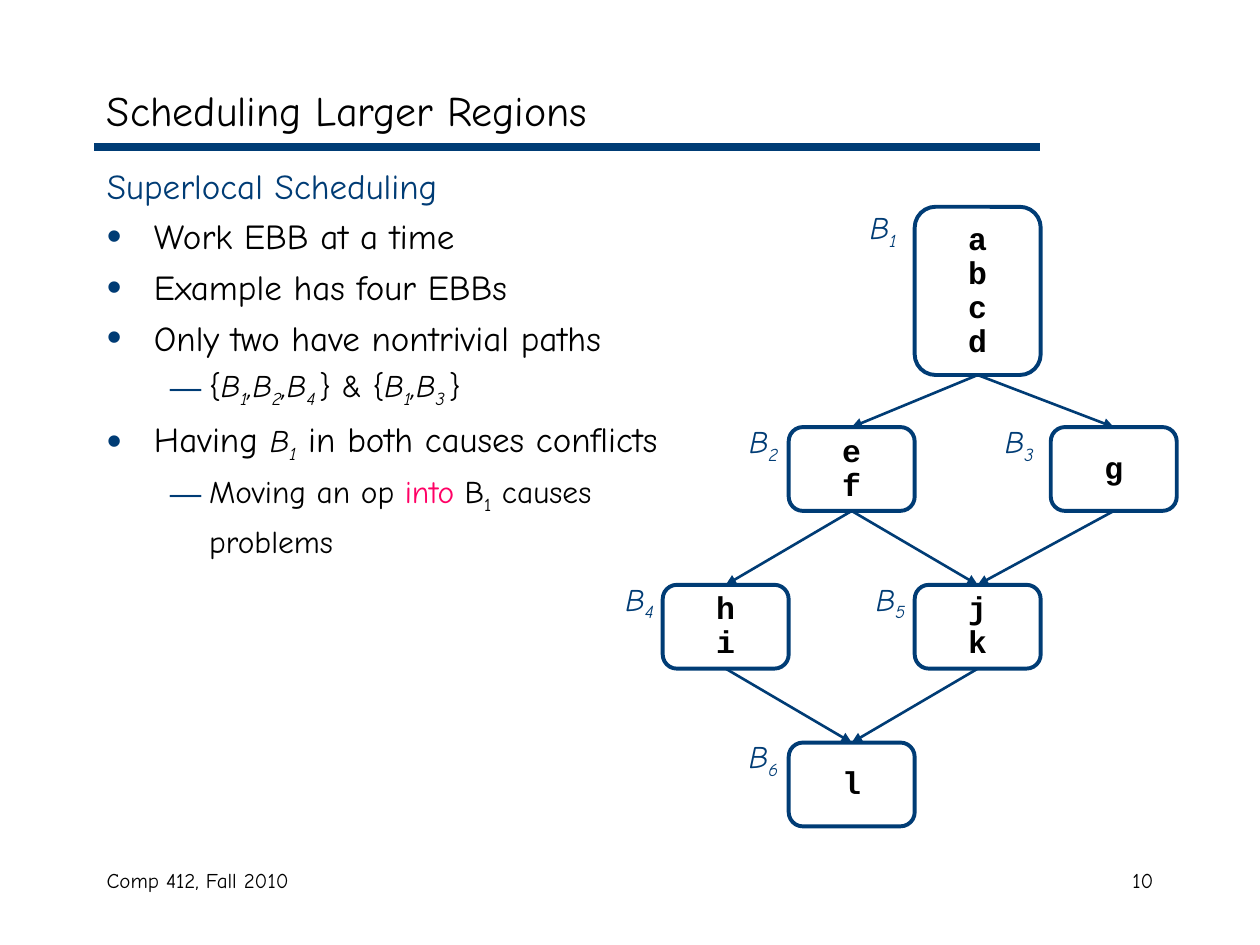
from lxml import etree
from pptx import Presentation
from pptx.dml.color import RGBColor
from pptx.enum.shapes import MSO_CONNECTOR, MSO_SHAPE
from pptx.enum.text import MSO_ANCHOR, MSO_AUTO_SIZE, PP_ALIGN
from pptx.oxml.ns import qn
from pptx.util import Cm, Pt

LEFT, CENTER, RIGHT = PP_ALIGN.LEFT, PP_ALIGN.CENTER, PP_ALIGN.RIGHT
TOP, MIDDLE = MSO_ANCHOR.TOP, MSO_ANCHOR.MIDDLE
ROUNDED, STRAIGHT = MSO_SHAPE.ROUNDED_RECTANGLE, MSO_CONNECTOR.STRAIGHT
NO_AUTOFIT = MSO_AUTO_SIZE.NONE
BOTTOM_SIDE, TOP_SIDE = 2, 0


def rgb(value):
    return RGBColor.from_string(value)


class Deck:
    font, code_font = "Comic Neue", "Courier New"
    navy, black, pink = "003C75", "000000", "FF0065"

    def __init__(self):
        self.prs = Presentation()
        self.prs.slide_width, self.prs.slide_height = Cm(25.4), Cm(19.05)
        self.s = self.prs.slides.add_slide(self.prs.slide_layouts[1])

    def style(self, r, size, color, font=None, bold=False, italic=False, sub=False):
        r.font.name, r.font.size = font or self.font, Pt(size)
        r.font.bold, r.font.italic = bold, italic
        r.font.color.rgb = rgb(color)
        if sub:
            r._r.get_or_add_rPr().set("baseline", "-25000")

    def place(self, sp, left, top, width, height):
        sp.left, sp.top, sp.width, sp.height = Cm(left), Cm(top), Cm(width), Cm(height)

    def title(self, text, *box):
        sp = self.s.shapes.title
        self.place(sp, *box)
        tf = sp.text_frame
        tf.text = text
        tf.auto_size, tf.vertical_anchor = NO_AUTOFIT, MIDDLE
        p = tf.paragraphs[0]
        p.alignment = LEFT
        self.style(p.runs[0], 24, self.black)

    def bullet(self, p, margin, indent, char, percent):
        pPr = p._p.get_or_add_pPr()
        pPr.set("marL", str(Cm(margin)))
        pPr.set("indent", str(Cm(indent)))
        if not char:
            etree.SubElement(pPr, qn("a:buNone"))
            return
        color = etree.SubElement(pPr, qn("a:buClr"))
        etree.SubElement(color, qn("a:srgbClr"), val=self.navy)
        etree.SubElement(pPr, qn("a:buSzPct"), val=str(percent * 1000))
        etree.SubElement(pPr, qn("a:buChar"), char=char)

    def body(self, items, *box):
        """Each item: kind of line, then (text, run style) pairs."""
        kinds = {  # level, margin, indent, bullet, bullet %, space, size, colour
            "head": (0, 0.95, -0.95, None, 100, 0, 20, self.navy),
            "point": (0, 0.95, -0.95, "•", 120, 5, 20, self.black),
            "dash": (1, 2.06, -0.79, "—", 100, 4.5, 18, self.black),
            "more": (1, 2.06, 0, None, 100, 3.6, 18, self.black),
        }
        sp = self.s.placeholders[1]
        self.place(sp, *box)
        tf = sp.text_frame
        tf.auto_size, tf.vertical_anchor = NO_AUTOFIT, TOP
        for i, (kind, runs) in enumerate(items):
            level, margin, indent, char, percent, space, size, color = kinds[kind]
            p = tf.add_paragraph() if i else tf.paragraphs[0]
            p.level = level
            self.bullet(p, margin, indent, char, percent)
            p.space_before = Pt(space)
            for text, extra in runs:
                r = p.add_run()
                r.text = text
                self.style(r, **{"size": size, "color": color, **extra})

    def textbox(self, text, align, *box):
        sp = self.s.shapes.add_textbox(*map(Cm, box))
        tf = sp.text_frame
        tf.word_wrap = True
        tf.text = text
        p = tf.paragraphs[0]
        p.alignment = align
        self.style(p.runs[0], 12, self.black)
        return p

    def label(self, number, left, top):
        p = self.textbox("B", CENTER, left, top, 1.27, 1.12)
        p.add_run().text = number
        for r, sub in zip(p.runs, (False, True)):
            self.style(r, 18, self.navy, italic=True, sub=sub)

    def block(self, ops, left, top, height):
        sp = self.s.shapes.add_shape(ROUNDED, Cm(left), Cm(top), Cm(2.54), Cm(height))
        sp.shadow.inherit = False
        sp.adjustments[0] = 0.42 / min(2.54, height) if height > 2 else 0.17
        sp.fill.background()
        sp.line.color.rgb, sp.line.width = rgb(self.navy), Pt(2.25)
        tf = sp.text_frame
        tf.word_wrap, tf.vertical_anchor = False, MIDDLE
        tf.text = "\n".join(ops)
        for p in tf.paragraphs:
            p.alignment, p.line_spacing = CENTER, 0.9
            self.style(p.runs[0], 18, self.black, self.code_font, bold=True)
        return sp

    def line(self, width, *ends):
        c = self.s.shapes.add_connector(STRAIGHT, *map(Cm, ends))
        c.line.color.rgb, c.line.width = rgb(self.navy), Pt(width)
        etree.SubElement(c._element.spPr, qn("a:effectLst"))
        return c

    def arrow(self, start, end):
        c = self.line(1.5, 0, 0, 1, 1)
        c.begin_connect(start, BOTTOM_SIDE)
        c.end_connect(end, TOP_SIDE)
        etree.SubElement(c.line._get_or_add_ln(), qn("a:tailEnd"), type="triangle")


def main():
    d = Deck()
    plain, italic, sub = {}, {"italic": True}, {"italic": True, "sub": True}

    # Title, rule and footer
    d.line(4.5, 1.9, 2.96, 20.96, 2.96)
    d.textbox("Comp 412, Fall 2010", LEFT, 1.9, 17.36, 8.04, 1.27)
    d.textbox("10", RIGHT, 18.2, 17.36, 5.3, 1.27)
    d.title("Scheduling Larger Regions", 1.9, 1.48, 21.59, 1.48)

    # Main points
    d.body([
        ("head", [("Superlocal Scheduling", plain)]),
        ("point", [("Work EBB at a time", plain)]),
        ("point", [("Example has four EBBs", plain)]),
        ("point", [("Only two have nontrivial paths", plain)]),
        ("dash", [("{", plain), ("B", italic), ("1", sub), (",B", italic), ("2", sub),
                  (",B", italic), ("4", sub), (" ", {"size": 12, **sub}),
                  ("} & {", plain), ("B", italic), ("1", sub), (",B", italic),
                  ("3", sub), (" ", {"size": 12, **sub}), ("}", plain)]),
        ("point", [("Having ", plain), ("B", {"size": 18, **italic}),
                   ("1", {"size": 18, **sub}), (" in both causes conflicts", plain)]),
        ("dash", [("Moving an op ", plain), ("into", {"color": d.pink}), (" B", plain),
                  ("1", {"sub": True}), (" causes", plain)]),
        ("more", [("problems", plain)]),
    ], 1.9, 3.18, 21.59, 13.76)

    # Flow graph: number -> operations, column, row, label offset
    left, top, col_step, row_step = 13.36, 8.61, 2.54, 3.18
    graph = {
        "1": ("abcd", 2, None, (-1.27, -0.1)),
        "2": ("ef", 1, 0, (-1.14, -0.23)),
        "3": ("g", 3.08, 0, (-1.27, -0.23)),
        "4": ("hi", 0, 1, (-1.1, -0.23)),
        "5": ("jk", 2, 1, (-1.12, -0.23)),
        "6": ("l", 1, 2, (-1.14, -0.23)),
    }
    blocks = {}
    for number, (ops, col, row, (dx, dy)) in graph.items():
        x = left + col * col_step
        y, height = (4.17, 3.39) if row is None else (top + row * row_step, 1.69)
        blocks[number] = d.block(ops, x, y, height)
        d.label(number, x + dx, y + dy)
    for start, end in ("12", "13", "24", "25", "35", "56", "46"):
        d.arrow(blocks[start], blocks[end])

    d.prs.save("out.pptx")


if __name__ == "__main__":
    main()
